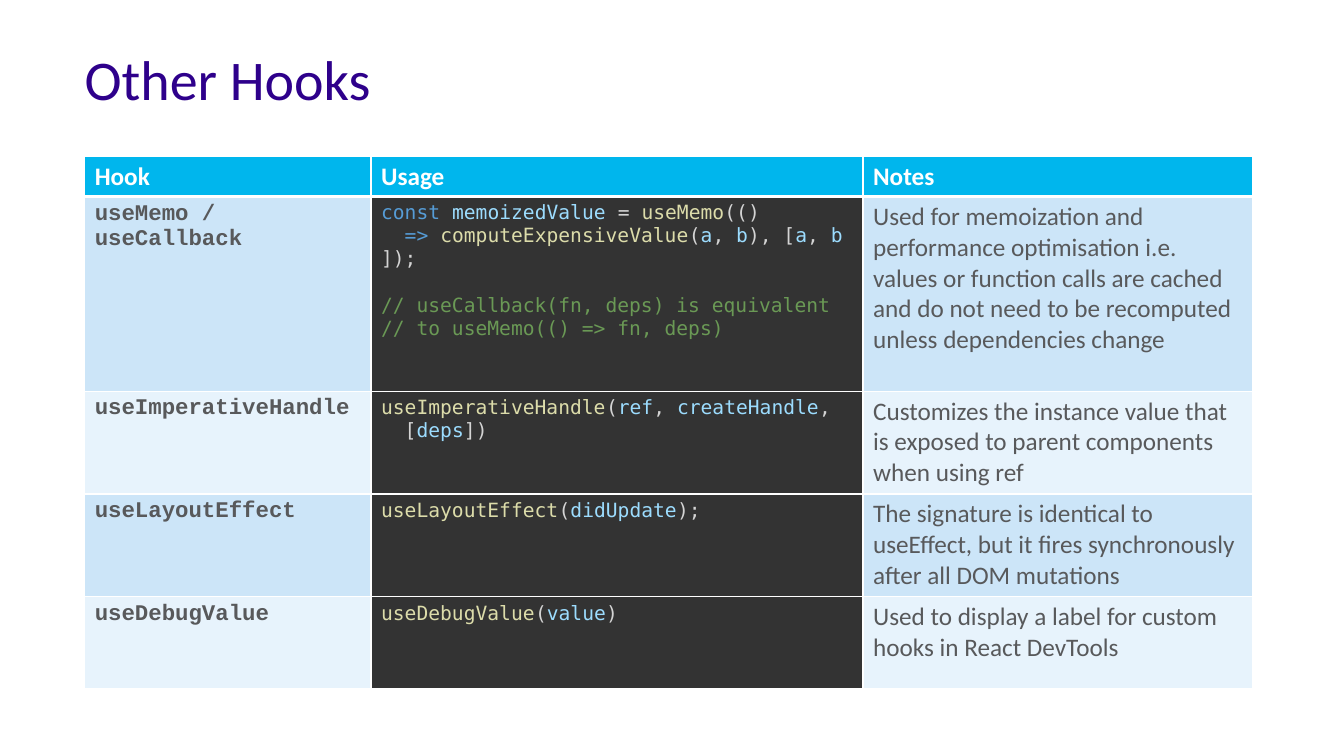
from itertools import groupby

from lxml import etree
from pptx import Presentation, util as u
from pptx.dml import color
from pptx.enum import text as t
from pptx.oxml import ns

INK = {
    "title": "2E008B", "head": "00B6ED", "white": "FFFFFF", "grey": "58595B",
    "odd": "CCE5F8", "even": "E7F3FC", "dark": "333333",
    "key": "569CD6", "var": "9CDCFE", "call": "DCDCAA",
    "plain": "D4D4D4", "note": "6A9955",
}
WIDE, HIGH = 13.33, 7.5
LEFT = 0.84
COLS = [2.84, 4.88, 3.86]
ROWS = [0.4, 1.93, 1.02, 1.02, 0.91]
HARD = chr(160)

HEADS = ["Hook", "Usage", "Notes"]
HOOKS = [
    ("useMemo / useCallback",
     ["const memoizedValue = useMemo(()",
      "  => computeExpensiveValue(a, b), [a, b]);",
      "// useCallback(fn, deps) is equivalent",
      "// to useMemo(() => fn, deps)"],
     "Used for memoization and performance optimisation i.e. values or "
     "function calls are cached and do not need to be recomputed unless "
     "dependencies change"),
    ("useImperativeHandle",
     ["useImperativeHandle(ref, createHandle,", "  [deps])"],
     "Customizes the instance value that is exposed to parent components "
     "when using ref"),
    ("useLayoutEffect",
     ["useLayoutEffect(didUpdate);"],
     "The signature is identical to useEffect, but it fires synchronously "
     "after all DOM mutations"),
    ("useDebugValue",
     ["useDebugValue(value)"],
     "Used to display a label for custom hooks in React DevTools"),
]


def rgb(name):
    return color.RGBColor.from_string(INK[name])


def write(para, words, size=18, face="Calibri", ink="grey", bold=False):
    run = para.add_run()
    run.text = words
    font = run.font
    font.size, font.name, font.bold = u.Pt(size), face, bold
    font.color.rgb = rgb(ink)


def split(line):
    if line.startswith("//"):
        return [(line, "note")]
    parts = ["".join(group) for _, group in groupby(line, str.isalnum)]
    pairs = []
    for part, after in zip(parts, parts[1:] + [""]):
        if part == "const" or "=>" in part:
            ink = "key"
        elif not part.isalnum():
            ink = "plain"
        else:
            ink = "call" if after.startswith("(") else "var"
        pairs.append((part, ink))
    return pairs


def code(frame, lines):
    noted = False
    for i, line in enumerate(lines):
        para = frame.add_paragraph() if i else frame.paragraphs[0]
        if line.startswith("//") and not noted:
            para.space_before = u.Pt(17)
            noted = True
        for words, ink in split(line):
            write(para, words.replace(" ", HARD), size=14,
                  face="DejaVu Sans Mono", ink=ink)


def edge(cell, side, width):
    line = etree.SubElement(cell._tc.get_or_add_tcPr(), ns.qn("a:ln" + side),
                            w=str(u.Pt(width)))
    fill = etree.SubElement(line, ns.qn("a:solidFill"))
    etree.SubElement(fill, ns.qn("a:srgbClr"), val=INK["white"])


def paint(cell, fill, top=1, base=1):
    for side, width in zip("LRTB", (1, 1, top, base)):
        edge(cell, side, width)
    cell.fill.solid()
    cell.fill.fore_color.rgb = rgb(fill)
    return cell.text_frame


def title(slide, words):
    box = slide.shapes.add_textbox(u.Inches(LEFT), u.Inches(0.52),
                                   u.Inches(WIDE - 2 * LEFT), u.Inches(0.61))
    frame = box.text_frame
    frame.word_wrap = True
    frame.auto_size = t.MSO_AUTO_SIZE.SHAPE_TO_FIT_TEXT
    frame.margin_left = frame.margin_right = 0
    frame.margin_top = frame.margin_bottom = 0
    para = frame.paragraphs[0]
    para.line_spacing = 0.9
    write(para, words, size=40, ink="title")


def grid(slide):
    table = slide.shapes.add_table(
        len(ROWS), len(COLS), u.Inches(LEFT), u.Inches(1.55),
        u.Inches(sum(COLS)), u.Inches(sum(ROWS))).table
    for col, width in zip(table.columns, COLS):
        col.width = u.Inches(width)
    for row, height in zip(table.rows, ROWS):
        row.height = u.Inches(height)
    for i, words in enumerate(HEADS):
        frame = paint(table.cell(0, i), "head", base=3)
        write(frame.paragraphs[0], words, ink="white", bold=True)
    for i, (hook, lines, note) in enumerate(HOOKS, 1):
        band = "odd" if i % 2 else "even"
        top = 3 if i == 1 else 1
        name, usage, notes = (
            paint(table.cell(i, j), fill, top=top)
            for j, fill in enumerate((band, "dark", band)))
        write(name.paragraphs[0], hook, size=16, face="Courier New", bold=True)
        code(usage, lines)
        write(notes.paragraphs[0], note)


def main():
    deck = Presentation()
    deck.slide_width, deck.slide_height = u.Inches(WIDE), u.Inches(HIGH)
    slide = deck.slides.add_slide(deck.slide_layouts[6])
    title(slide, "Other Hooks")
    grid(slide)
    deck.save("out.pptx")


if __name__ == "__main__":
    main()
